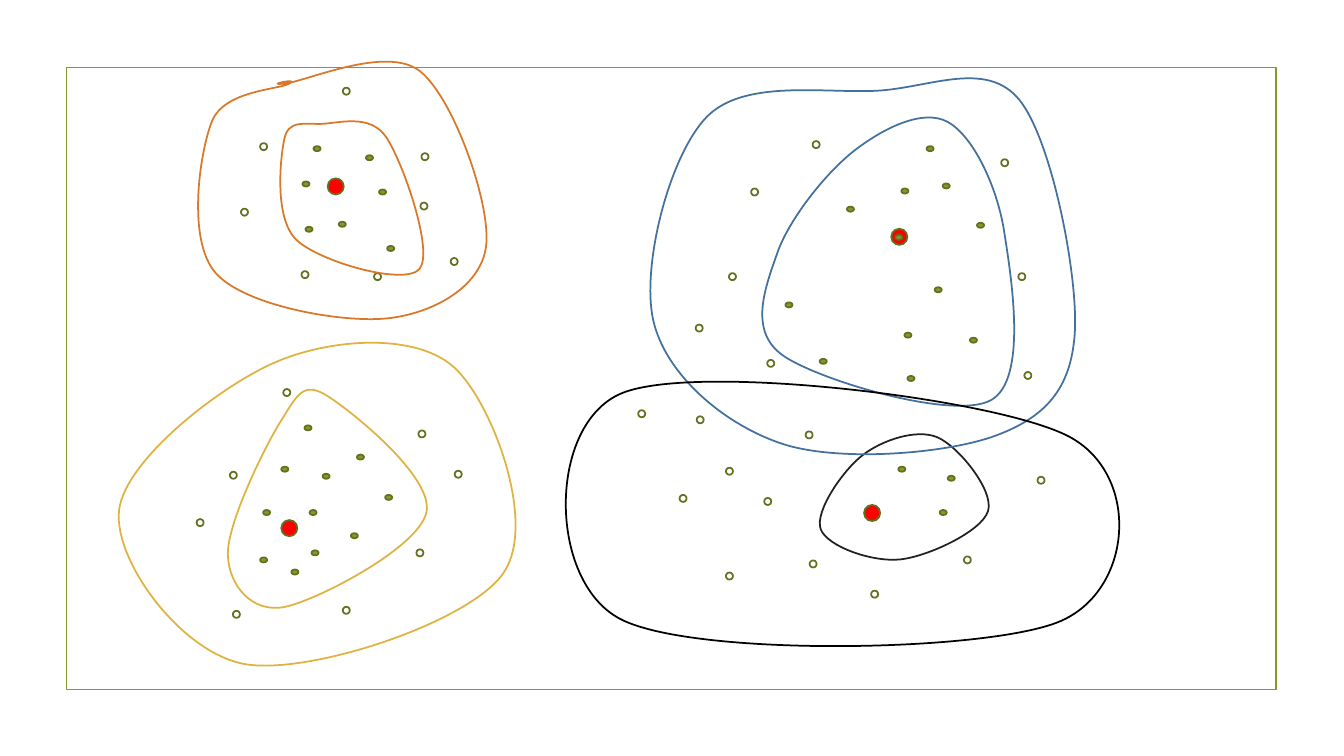
from dataclasses import dataclass

from lxml import etree
from pptx import Presentation
from pptx.dml.color import RGBColor
from pptx.enum.shapes import MSO_SHAPE
from pptx.oxml.ns import qn
from pptx.util import Inches, Pt

RECT = MSO_SHAPE.RECTANGLE
DISC = MSO_SHAPE.FLOWCHART_CONNECTOR
COLS, ROWS = 1333, 750
BLANK = 6


@dataclass(frozen=True)
class Theme:
    """Colours, type and line width of the slide."""
    font: str = "Calibri"
    line: float = 1.25
    green: str = "83992A"
    rim: str = "61711F"
    red: str = "FF0000"
    orange: str = "D97828"
    yellow: str = "DEB340"
    blue: str = "44709D"
    black: str = "000000"
    charcoal: str = "212121"


class Board:
    """Draws on one slide, measured in columns and rows of a fine grid."""

    def __init__(self, prs, theme):
        """Add a blank slide and keep its style and grid cell."""
        self.theme = theme
        self.s = prs.slides.add_slide(prs.slide_layouts[BLANK])
        self.cell_w = prs.slide_width / COLS
        self.cell_h = prs.slide_height / ROWS

    def place(self, col, row):
        """Turn a column and a row into slide lengths."""
        return round(col * self.cell_w), round(row * self.cell_h)

    def style(self, sp, line, fill=None):
        """Set outline and fill, without shadow."""
        sp.shadow.inherit = False
        sp.line.width = Pt(self.theme.line)
        sp.line.color.rgb = RGBColor.from_string(line)
        if fill:
            sp.fill.solid()
            sp.fill.fore_color.rgb = RGBColor.from_string(fill)
        else:
            sp.fill.background()

    def shape(self, kind, at, size, line, fill=None):
        """Add a preset shape."""
        sp = self.s.shapes.add_shape(kind, *self.place(*at), *self.place(*size))
        self.style(sp, line, fill)

    def discs(self, spots, size, fill=None):
        """Add equal discs at the given top-left corners."""
        for at in spots:
            self.shape(DISC, at, size, self.theme.rim, fill)

    def loop(self, anchors, line):
        """Add a smooth closed curve through the anchors."""
        pts = [self.place(*a) for a in anchors]
        curves = smooth(pts)
        outline = [bezier(c, t / 24) for c in curves for t in range(1, 25)]
        builder = self.s.shapes.build_freeform(*pts[0], scale=1.0)
        builder.add_line_segments(outline, close=True)
        sp = builder.convert_to_shape()
        self.style(sp, line)
        track = sp._element.spPr.find(".//" + qn("a:path"))
        for step in track.findall(qn("a:lnTo")):
            track.remove(step)
        close = track.find(qn("a:close"))
        for curve in curves:
            bez = etree.Element(qn("a:cubicBezTo"))
            for x, y in curve[1:]:
                etree.SubElement(bez, qn("a:pt"), x=str(round(x - sp.left)),
                                 y=str(round(y - sp.top)))
            close.addprevious(bez)


def smooth(pts):
    """Return the cubic curves of a closed Catmull-Rom spline."""
    n = len(pts)
    curves = []
    for i in range(n):
        before, start, end, after = (pts[(i + k) % n] for k in (-1, 0, 1, 2))
        leave = tuple(s + (e - b) / 6 for b, s, e in zip(before, start, end))
        reach = tuple(e - (a - s) / 6 for s, e, a in zip(start, end, after))
        curves.append((start, leave, reach, end))
    return curves


def bezier(curve, t):
    """Return the point at t on a cubic curve."""
    u = 1 - t
    return tuple(round(a * u**3 + 3 * b * u * u * t + 3 * c * u * t * t + d * t**3)
                 for a, b, c, d in zip(*curve))


CLUSTERS = [
    {
        "outer": ("yellow", [(274, 359), (451, 365), (499, 569), (244, 659), (118, 507)]),
        "inner": ("yellow", [(279, 417), (325, 393), (423, 508), (283, 602), (226, 550)]),
        "hub": (279, 516),
        "dots": [(302, 422), (354, 451), (382, 491), (348, 529), (320, 470), (279, 463),
                 (261, 506), (307, 506), (309, 546), (289, 565), (258, 553)],
        "rings": [(415, 427), (451, 467), (413, 545), (340, 602), (231, 606),
                  (195, 515), (228, 468), (281, 386)],
    },
    {
        "outer": ("orange", [(282, 83), (417, 71), (482, 245), (383, 316), (214, 271),
                             (210, 121), (287, 83)]),
        "inner": ("orange", [(318, 123), (383, 136), (416, 267), (294, 238), (282, 138)]),
        "hub": (325, 177),
        "dots": [(384, 244), (303, 225), (336, 220), (300, 180), (376, 188),
                 (363, 154), (311, 145)],
        "rings": [(299, 269), (417, 201), (418, 152), (371, 271), (447, 256),
                  (239, 207), (258, 142), (340, 87)],
    },
    {
        "outer": ("blue", [(870, 90), (1011, 99), (1066, 331), (988, 432), (775, 440),
                           (648, 318), (701, 116)]),
        "inner": ("blue", [(848, 149), (940, 121), (996, 230), (983, 397), (777, 353),
                           (771, 251)]),
        "hub": (884, 227),
        "dots": [(840, 205), (813, 356), (919, 145), (894, 187), (969, 221), (888, 233),
                 (897, 330), (900, 373), (927, 285), (962, 335), (779, 300), (935, 182)],
        "rings": [(806, 140), (745, 187), (723, 271), (761, 357), (1010, 271),
                  (993, 158), (690, 322), (1016, 369)],
    },
    {
        "outer": ("black", [(617, 390), (1060, 433), (1050, 617), (615, 614)]),
        "inner": ("charcoal", [(855, 452), (930, 434), (980, 507), (893, 555), (814, 525)]),
        "hub": (857, 501),
        "dots": [(940, 472), (891, 463), (932, 506)],
        "rings": [(799, 428), (758, 494), (803, 556), (956, 552), (864, 586), (691, 413),
                  (1029, 473), (720, 568), (674, 491), (720, 464), (633, 407)],
    },
]


def main():
    """Build the slide and save it."""
    prs = Presentation()
    prs.slide_width, prs.slide_height = Inches(13.33), Inches(7.5)
    theme = Theme()
    board = Board(prs, theme)
    board.shape(RECT, (66, 67), (1200, 617), theme.green)
    for cluster in CLUSTERS:
        board.discs([cluster["hub"]], (16, 16), theme.red)
        board.discs(cluster["dots"], (7, 5), theme.green)
        board.discs(cluster["rings"], (7, 7))
    for part in ("inner", "outer"):
        for cluster in CLUSTERS:
            colour, anchors = cluster[part]
            board.loop(anchors, getattr(theme, colour))
    prs.save("out.pptx")


if __name__ == "__main__":
    main()
